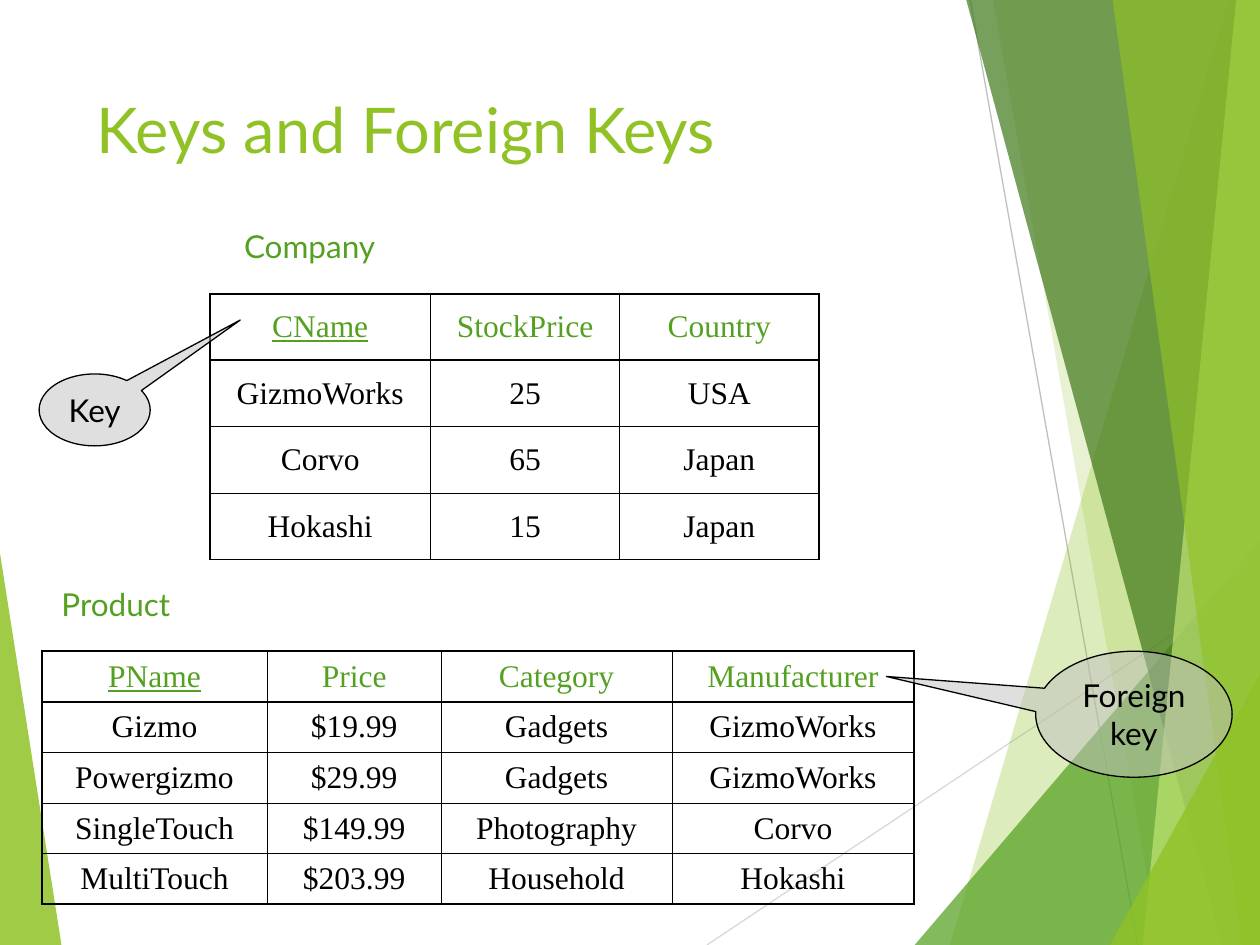
from lxml import etree
from pptx import Presentation
from pptx import util as u
from pptx.dml.color import RGBColor
from pptx.enum import shapes, text
from pptx.oxml import ns

LIME = RGBColor(0x90, 0xC2, 0x26)
GREEN = RGBColor(0x54, 0xA0, 0x21)
FOREST = RGBColor(0x3F, 0x78, 0x19)
PALE_LIME = RGBColor(0xC0, 0xE4, 0x74)
SILVER = RGBColor(0xC0, 0xC0, 0xC0)
LIGHT_GRAY = RGBColor(0xD9, 0xD9, 0xD9)
MID_GRAY = RGBColor(0xBF, 0xBF, 0xBF)
BLACK = RGBColor(0, 0, 0)
WHITE = RGBColor(0xFF, 0xFF, 0xFF)

WIDTH, HEIGHT = 25.4, 19.05
THICK, THIN = 1.08, 0.45


class Painter:
    """Holds the style and the page being drawn; lengths are in centimetres."""
    heading_font = "Lato"
    table_font = "Times New Roman"
    body_size = 18

    def __init__(self, page):
        self.page = page

    def set_words(self, frame, words, color, size=body_size, font=heading_font,
                  align=text.PP_ALIGN.LEFT, underline=False):
        frame.text = words
        para = frame.paragraphs[0]
        para.alignment = align
        for span in para.runs:
            span.font.name = font
            span.font.size = u.Pt(size)
            span.font.color.rgb = color
            if underline:
                span.font.underline = True

    def tint(self, shape, color, opacity):
        shape.shadow.inherit = False
        shape.fill.solid()
        shape.fill.fore_color.rgb = color
        tone = shape.element.spPr.find(ns.qn("a:solidFill"))[0]
        etree.SubElement(tone, ns.qn("a:alpha"), val=str(opacity * 1000))

    def polygon(self, points, color, opacity):
        corners = [(u.Cm(x), u.Cm(y)) for x, y in points]
        builder = self.page.shapes.build_freeform(*corners[0])
        builder.add_line_segments(corners[1:], close=True)
        shape = builder.convert_to_shape()
        self.tint(shape, color, opacity)
        shape.line.fill.background()

    def line(self, x1, y1, x2, y2, color):
        line = self.page.shapes.add_connector(
            shapes.MSO_CONNECTOR.STRAIGHT, u.Cm(x1), u.Cm(y1), u.Cm(x2), u.Cm(y2))
        line.line.color.rgb = color
        line.line.width = u.Pt(0.75)
        etree.SubElement(line.element.spPr, ns.qn("a:effectLst"))

    def label(self, words, left, top, width, height, color, size=body_size):
        box = self.page.shapes.add_textbox(u.Cm(left), u.Cm(top), u.Cm(width), u.Cm(height))
        box.text_frame.word_wrap = True
        self.set_words(box.text_frame, words, color, size)

    def callout(self, words, left, top, width, height, tip):
        shape = self.page.shapes.add_shape(
            shapes.MSO_SHAPE.OVAL_CALLOUT, u.Cm(left), u.Cm(top), u.Cm(width), u.Cm(height))
        shape.adjustments[0], shape.adjustments[1] = tip
        self.tint(shape, SILVER, 50)
        shape.line.color.rgb = BLACK
        shape.line.width = u.Pt(0.75)
        frame = shape.text_frame
        frame.word_wrap = False
        frame.vertical_anchor = text.MSO_ANCHOR.MIDDLE
        self.set_words(frame, words, BLACK, align=text.PP_ALIGN.CENTER)

    def border(self, cell, side, width):
        edge = etree.SubElement(cell._tc.get_or_add_tcPr(), ns.qn("a:ln" + side),
                                w=str(u.Pt(width)))
        fill = etree.SubElement(edge, ns.qn("a:solidFill"))
        etree.SubElement(fill, ns.qn("a:srgbClr"), val=str(BLACK))

    def table(self, rows, left, top, widths, row_height, background=None):
        table = self.page.shapes.add_table(
            len(rows), len(widths), u.Cm(left), u.Cm(top),
            u.Cm(sum(widths)), u.Cm(row_height * len(rows))).table
        table.first_row = table.horz_banding = False
        for column, width in zip(table.columns, widths):
            column.width = u.Cm(width)
        last_row, last_column = len(rows) - 1, len(widths) - 1
        for r, row in enumerate(rows):
            table.rows[r].height = u.Cm(row_height)
            for c, words in enumerate(row):
                cell = table.cell(r, c)
                cell.vertical_anchor = text.MSO_ANCHOR.MIDDLE
                # Thick lines run round the table and under its header
                heavy = {"L": c == 0, "R": c == last_column,
                         "T": r <= 1, "B": r in (0, last_row)}
                for side, is_heavy in heavy.items():
                    self.border(cell, side, THICK if is_heavy else THIN)
                if background is None:
                    cell.fill.background()
                else:
                    cell.fill.solid()
                    cell.fill.fore_color.rgb = background
                self.set_words(cell.text_frame, words, GREEN if r == 0 else BLACK,
                               font=self.table_font, align=text.PP_ALIGN.CENTER,
                               underline=r == 0 and c == 0)


def main():
    deck = Presentation()
    deck.slide_width, deck.slide_height = u.Cm(WIDTH), u.Cm(HEIGHT)
    painter = Painter(deck.slides.add_slide(deck.slide_layouts[6]))

    # Backdrop: left wedge and fine lines
    painter.polygon([(0, 11.15), (1.24, HEIGHT), (0, HEIGHT)], LIME, 85)
    painter.line(14.25, HEIGHT, WIDTH, 11.61, LIGHT_GRAY)
    painter.line(19.56, 0, 22.94, HEIGHT, MID_GRAY)

    # Backdrop: facets between a slanted edge and the right side of the page
    facets = [
        ((24.77, 0), 19.15, LIME, 30),
        ((20.02, 0), 23.37, LIME, 20),
        ((WIDTH, 10.9), 18.44, GREEN, 72),
        ((19.48, 0), 24.64, FOREST, 70),
        ((24.92, 0), 23.04, PALE_LIME, 70),
        ((22.43, 0), 25.04, LIME, 65),
        ((WIDTH, 13.59), 22.38, LIME, 80),
    ]
    for upper, foot, color, opacity in facets:
        points = [upper, (foot, HEIGHT), (WIDTH, HEIGHT)]
        if upper[0] < WIDTH:
            points.append((WIDTH, 0))
        painter.polygon(points, color, opacity)

    painter.label("Keys and Foreign Keys", 1.7, 1.7, 17.63, 3.66, LIME, 36)

    # Product table
    painter.table([
        ("PName", "Price", "Category", "Manufacturer"),
        ("Gizmo", "$19.99", "Gadgets", "GizmoWorks"),
        ("Powergizmo", "$29.99", "Gadgets", "GizmoWorks"),
        ("SingleTouch", "$149.99", "Photography", "Corvo"),
        ("MultiTouch", "$203.99", "Household", "Hokashi"),
    ], 0.84, 13.13, (4.55, 3.5, 4.66, 4.87), 1.02)
    painter.label("Product", 0.99, 11.66, 2.84, 1.02, GREEN)

    # Company table
    painter.label("Company", 4.67, 4.45, 3.35, 1.02, GREEN)
    painter.table([
        ("CName", "StockPrice", "Country"),
        ("GizmoWorks", "25", "USA"),
        ("Corvo", "65", "Japan"),
        ("Hokashi", "15", "Japan"),
    ], 4.23, 5.92, (4.45, 3.81, 4.02), 1.34, WHITE)

    # Callouts
    painter.callout("Key", 0.79, 7.54, 2.24, 1.45, (1.31, -1.25))
    painter.callout("Foreign\vkey", 20.88, 13.13, 3.96, 2.54, (-1.26, -0.3))

    deck.save("out.pptx")


if __name__ == "__main__":
    main()
